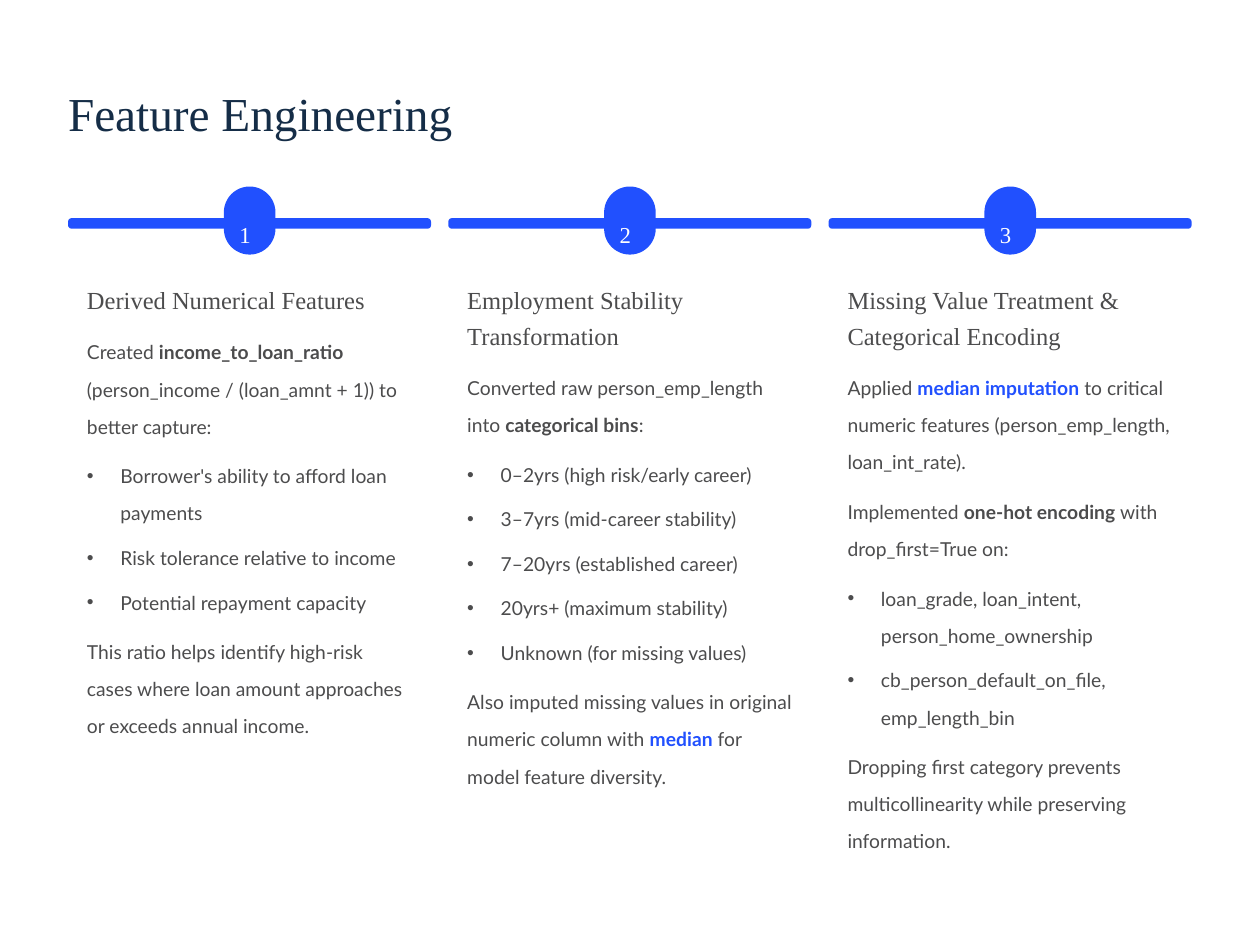
from lxml.etree import SubElement
from pptx import Presentation
from pptx.dml.color import RGBColor
from pptx.enum.shapes import MSO_SHAPE
from pptx.enum.text import MSO_ANCHOR, MSO_AUTO_SIZE, PP_ALIGN
from pptx.oxml.ns import qn
from pptx.util import Pt

COLORS = {"white": "FFFFFF", "title": "152D47", "accent": "2150FE", "body": "4C4C4D"}
SERIF, SANS = "Times New Roman", "Lato"

MARGIN, CARD_WIDTH, CARD_PITCH = 38.9, 207.4, 217.3
TEXT_INSET, TEXT_WIDTH, TEXT_TOP = 10.8, 185.8, 159.1
HEADING_LINE, BODY_LINE = 20.3, 21.2
BLOCK_GAP, BULLET_GAP, BULLET_INDENT = 7.2, 4.2, 19.1

# Each column: heading, then blocks in reading order, with their line counts.
# A paragraph is a list of (words, style) runs; a list is made of plain strings.
COLUMNS = [
    ("Derived Numerical Features", 1, [
        ([("Created ", "plain"), ("income_to_loan_ratio", "bold"),
          (" (person_income / (loan_amnt + 1)) to better capture:", "plain")], 3),
        (["Borrower's ability to afford loan payments",
          "Risk tolerance relative to income",
          "Potential repayment capacity"], 4),
        ([("This ratio helps identify high-risk cases where loan amount "
           "approaches or exceeds annual income.", "plain")], 3),
    ]),
    ("Employment Stability Transformation", 2, [
        ([("Converted raw person_emp_length into ", "plain"),
          ("categorical bins", "bold"), (":", "plain")], 2),
        (["0–2yrs (high risk/early career)",
          "3–7yrs (mid-career stability)",
          "7–20yrs (established career)",
          "20yrs+ (maximum stability)",
          "Unknown (for missing values)"], 5),
        ([("Also imputed missing values in original numeric column with ", "plain"),
          ("median", "accent"), (" for model feature diversity.", "plain")], 3),
    ]),
    ("Missing Value Treatment & Categorical Encoding", 2, [
        ([("Applied ", "plain"), ("median imputation", "accent"),
          (" to critical numeric features (person_emp_length, loan_int_rate).",
           "plain")], 3),
        ([("Implemented ", "plain"), ("one-hot encoding", "bold"),
          (" with drop_first=True on:", "plain")], 2),
        (["loan_grade, loan_intent, person_home_ownership",
          "cb_person_default_on_file, emp_length_bin"], 4),
        ([("Dropping first category prevents multicollinearity while "
           "preserving information.", "plain")], 3),
    ]),
]


def rgb(name):
    return RGBColor.from_string(COLORS[name])


def place(shape, left, top, width, height):
    shape.left, shape.top = Pt(left), Pt(top)
    shape.width, shape.height = Pt(width), Pt(height)


def prepare_frame(shape):
    """Make the text start exactly at the top left corner of the shape."""
    frame = shape.text_frame
    frame.margin_left = frame.margin_top = frame.margin_right = frame.margin_bottom = 0
    frame.word_wrap = True
    frame.auto_size = MSO_AUTO_SIZE.NONE
    frame.vertical_anchor = MSO_ANCHOR.TOP
    return frame


def format_paragraph(paragraph, size, font, color, spacing):
    paragraph.alignment = PP_ALIGN.LEFT
    paragraph.line_spacing = spacing
    paragraph.space_before = paragraph.space_after = Pt(0)
    for run in paragraph.runs:
        run.font.size, run.font.name = Pt(size), font
        run.font.bold = False
        run.font.color.rgb = rgb(color)


def add_rounded(slide, box, color, roundness):
    left, top, width, height = map(Pt, box)
    shape = slide.shapes.add_shape(MSO_SHAPE.ROUNDED_RECTANGLE, left, top, width, height)
    shape.adjustments[0] = roundness
    shape.fill.solid()
    shape.fill.fore_color.rgb = rgb(color)
    shape.line.fill.background()
    shape.shadow.inherit = False


def add_label(slide, box, words, size, color, spacing):
    """Add a text box in the serif font."""
    frame = prepare_frame(slide.shapes.add_textbox(*map(Pt, box)))
    frame.text = words
    format_paragraph(frame.paragraphs[0], size, SERIF, color, spacing)


def add_body_text(slide, box, styled_runs):
    frame = prepare_frame(slide.shapes.add_textbox(*map(Pt, box)))
    paragraph = frame.paragraphs[0]
    for words, _ in styled_runs:
        paragraph.add_run().text = words
    format_paragraph(paragraph, 11, SANS, "body", 1.61)
    for run, (_, style) in zip(paragraph.runs, styled_runs):
        run.font.bold = style != "plain"
        if style == "accent":
            run.font.color.rgb = rgb("accent")


def add_bullet(paragraph):
    properties = paragraph._p.get_or_add_pPr()
    properties.set("marL", str(Pt(BULLET_INDENT)))
    properties.set("indent", str(-Pt(BULLET_INDENT)))
    bullet_color = SubElement(properties, qn("a:buClr"))
    SubElement(bullet_color, qn("a:srgbClr")).set("val", COLORS["body"])
    SubElement(properties, qn("a:buFont")).set("typeface", "Arial")
    SubElement(properties, qn("a:buChar")).set("char", "•")


def fill_list(placeholder, box, items):
    place(placeholder, *box)
    frame = prepare_frame(placeholder)
    frame.text = "\n".join(items)
    for index, paragraph in enumerate(frame.paragraphs):
        format_paragraph(paragraph, 11, SANS, "body", 1.61)
        if index:
            paragraph.space_before = Pt(BULLET_GAP)
        add_bullet(paragraph)
    # Bring the list in front of its card.
    placeholder.element.getparent().append(placeholder.element)


def add_marker(slide, left, number):
    """Add the card, its top bar and its numbered badge."""
    add_rounded(slide, (left, 126, CARD_WIDTH, 373.7), "white", 0.03)
    add_rounded(slide, (left, 124.7, CARD_WIDTH, 6), "accent", 0.33)
    add_rounded(slide, (left + 89, 106.6, 29.5, 38.9), "accent", 0.5)
    add_label(slide, (left + 97.9, 116.6, 11.5, 19.4), str(number), 13, "white", 1.62)


def add_column(slide, left, column, list_placeholder):
    heading, heading_lines, blocks = column
    left += TEXT_INSET
    top, height = TEXT_TOP, heading_lines * HEADING_LINE
    add_label(slide, (left, top, TEXT_WIDTH, height), heading, 14, "body", 1.23)
    for content, lines in blocks:
        top += height + BLOCK_GAP
        height = lines * BODY_LINE
        if isinstance(content[0], str):
            height += (len(content) - 1) * BULLET_GAP
            fill_list(list_placeholder, (left, top, TEXT_WIDTH, height), content)
        else:
            add_body_text(slide, (left, top, TEXT_WIDTH, height), content)


def set_title(slide, words):
    title = slide.shapes.title
    place(title, MARGIN, 40.3, 610, 54)
    frame = prepare_frame(title)
    frame.text = words
    format_paragraph(frame.paragraphs[0], 27, SERIF, "title", 1.24)


def main():
    presentation = Presentation()
    presentation.slide_width, presentation.slide_height = Pt(720), Pt(540)
    slide = presentation.slides.add_slide(presentation.slide_layouts.get_by_name("Comparison"))
    slide.background.fill.solid()
    slide.background.fill.fore_color.rgb = rgb("white")
    set_title(slide, "Feature Engineering")

    bodies = [p for p in slide.placeholders if p.placeholder_format.idx in (1, 2, 3, 4)]
    for number, (column, body) in enumerate(zip(COLUMNS, bodies), start=1):
        left = MARGIN + (number - 1) * CARD_PITCH
        add_marker(slide, left, number)
        add_column(slide, left, column, body)
    for unused in bodies[len(COLUMNS):]:
        unused.element.getparent().remove(unused.element)

    presentation.save("out.pptx")


if __name__ == "__main__":
    main()
